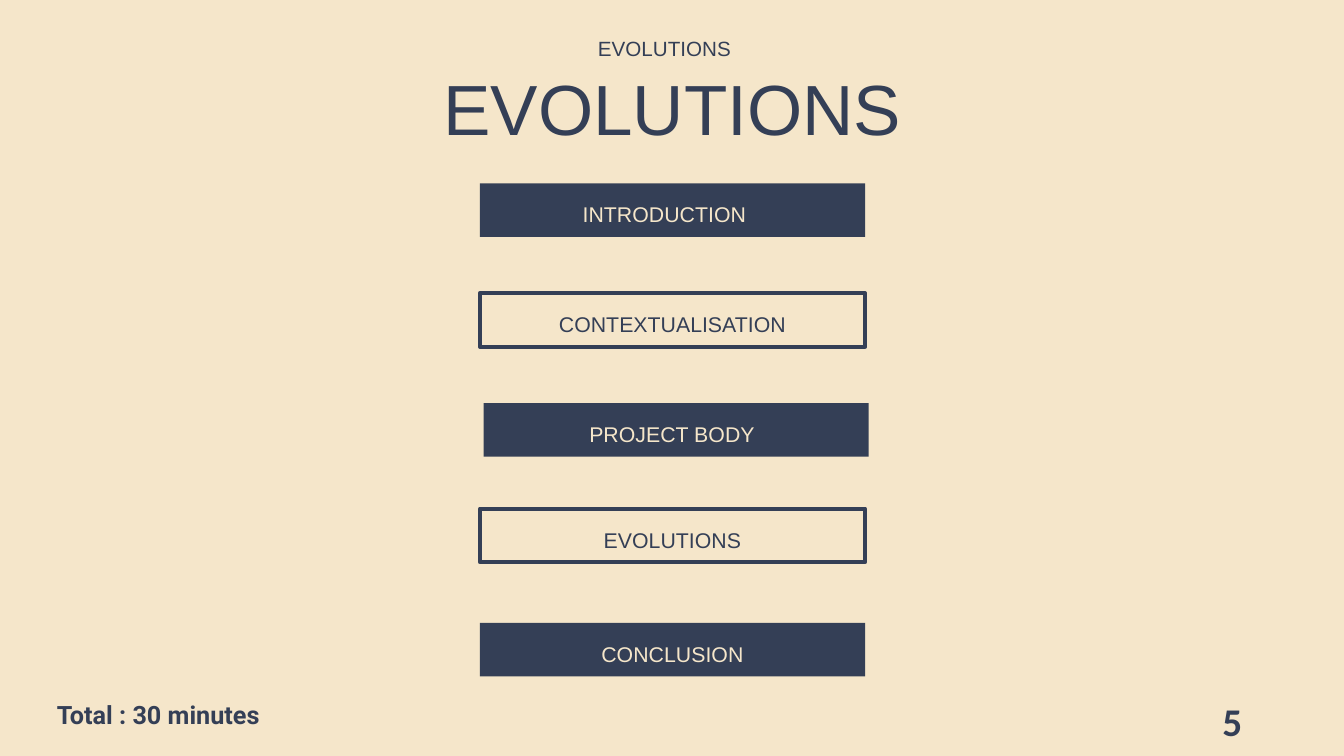
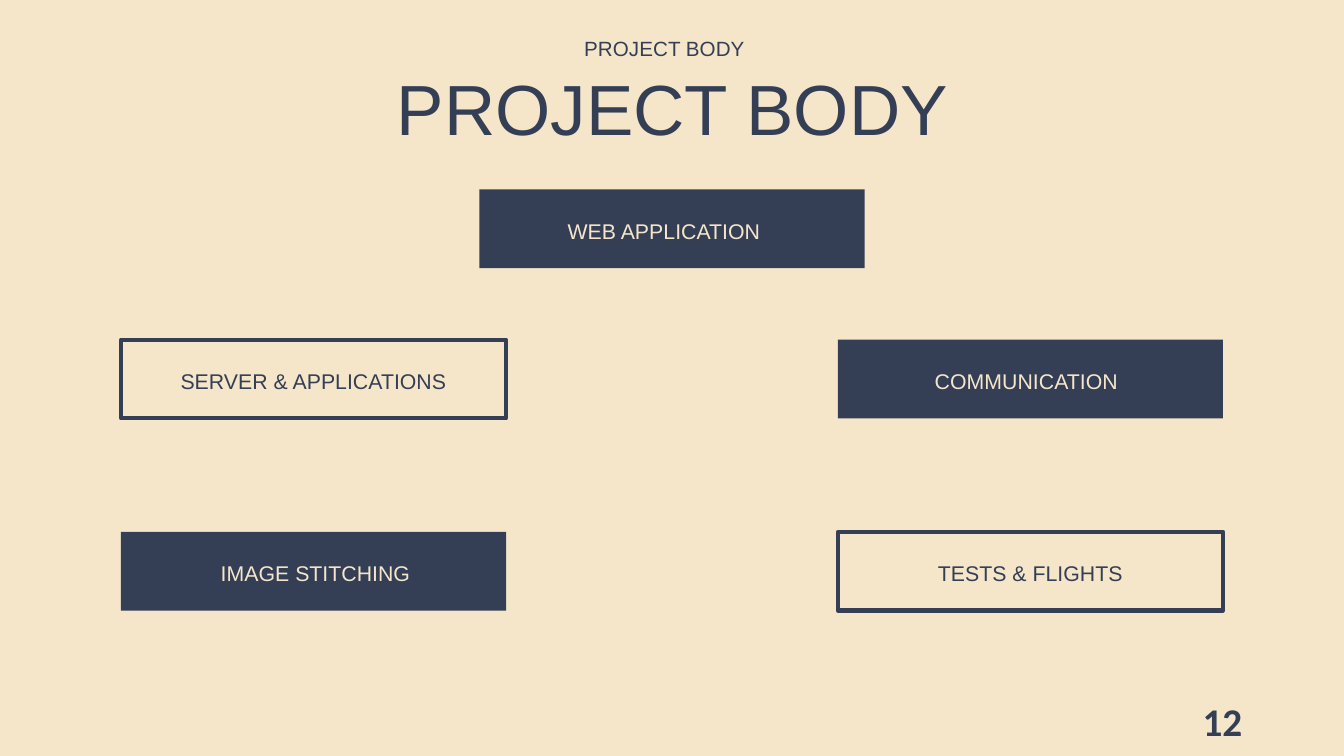
from dataclasses import dataclass
from typing import NamedTuple

from pptx import Presentation
from pptx.dml.color import RGBColor
from pptx.enum.shapes import MSO_SHAPE as Preset
from pptx.enum.text import MSO_ANCHOR as Anchor, MSO_AUTO_SIZE as AutoSize, PP_ALIGN as Align
from pptx.util import Inches, Pt


@dataclass(frozen=True)
class Theme:
    """Colours, fonts and type sizes shared by the slides."""
    cream: RGBColor = RGBColor.from_string("F5E6CA")
    navy: RGBColor = RGBColor.from_string("343F56")
    sans: str = "Arial"
    number_font: str = "Calibri"
    note_font: str = "Roboto"
    title: float = 50.7
    title_line: float = 70.9
    kicker: float = 14.7
    kicker_line: float = 20.5
    label: float = 15.2
    label_line: float = 21.3
    number: float = 28
    note: float = 18
    border: float = 3


THEME = Theme()


class Box(NamedTuple):
    """A region in inches."""
    left: float
    top: float
    width: float
    height: float

    def emu(self):
        """Return the region in slide units."""
        return [Inches(side) for side in self]


class Grid(NamedTuple):
    """Equal tiles, spaced by fixed steps from the first one."""
    first: Box
    column_step: float
    row_step: float
    text_drop: float

    def cell(self, column, row):
        """Return the box of one tile."""
        return self.first._replace(left=self.first.left + column * self.column_step,
                                   top=self.first.top + row * self.row_step)


class Tile(NamedTuple):
    """One labelled tile: its grid place, style and sideways text shift."""
    label: str
    column: float
    row: float
    filled: bool
    shift: float = 0


PAGE = Box(0, 0, 13.33, 7.5)
TITLE = Box(2.02, 0.5, 9.3, 0.84)
KICKER = Box(5.02, 0.32, 3.14, 0.25)
NUMBER = Box(9.42, 6.95, 3, 0.4)
NOTE = Box(0, 6.95, 3.14, 0.29)

CHAPTER_GRID = Grid(Box(4.76, 1.82, 3.82, 0.53), 3.55, 1.09, 0.02)
CHAPTERS = [
    Tile("INTRODUCTION", 0, 0, True, -0.08),
    Tile("CONTEXTUALISATION", 0, 1, False),
    Tile("PROJECT BODY", 0.01, 2, True, -0.04),
    Tile("EVOLUTIONS", 0, 2.96, False),
    Tile("CONCLUSION", 0, 4, True),
]

TOPIC_GRID = Grid(Box(1.2, 1.88, 3.82, 0.78), 3.555, 1.49, 0)
TOPICS = [
    Tile("WEB APPLICATION", 1, 0, True, -0.08),
    Tile("SERVER & APPLICATIONS", 0, 1, False),
    Tile("COMMUNICATION", 2, 1, True, -0.04),
    Tile("IMAGE STITCHING", 0, 2.28, True, 0.02),
    Tile("TESTS & FLIGHTS", 2, 2.28, False),
]


def write(holder, text, size, color, font=THEME.sans, line=None, bold=False,
          align=Align.CENTER, anchor=Anchor.TOP, insets=(0, 0, 0, 0)):
    """Put one formatted run in the text frame of a shape."""
    frame = holder.text_frame
    frame.word_wrap = True
    frame.auto_size = AutoSize.NONE
    frame.vertical_anchor = anchor
    (frame.margin_left, frame.margin_top,
     frame.margin_right, frame.margin_bottom) = [Inches(inset) for inset in insets]
    paragraph = frame.paragraphs[0]
    paragraph.alignment = align
    if line:
        paragraph.line_spacing = Pt(line)
    run = paragraph.add_run()
    run.text = text
    run.font.name, run.font.size, run.font.bold = font, Pt(size), bold
    run.font.color.rgb = color


def add_heading(slide, text):
    """Place the title and the small repeat of it above."""
    title = slide.shapes.title
    title.left, title.top, title.width, title.height = TITLE.emu()
    write(title, text, THEME.title, THEME.navy, line=THEME.title_line)
    kicker = slide.shapes.add_textbox(*KICKER.emu())
    write(kicker, text, THEME.kicker, THEME.navy, line=THEME.kicker_line)


def add_footer(slide, number, note):
    """Place the page number and, if given, the note at the left."""
    page_number = slide.shapes.add_textbox(*NUMBER.emu())
    write(page_number, number, THEME.number, THEME.navy, THEME.number_font, bold=True,
          align=Align.RIGHT, anchor=Anchor.MIDDLE, insets=(0.1, 0.05, 0.1, 0.05))
    if note:
        duration = slide.shapes.add_textbox(*NOTE.emu())
        write(duration, note, THEME.note, THEME.navy, THEME.note_font,
              THEME.kicker_line, bold=True)


def add_tile(slide, box, tile, drop):
    """Draw a filled or outlined tile with its label."""
    panel = slide.shapes.add_shape(Preset.RECTANGLE, *box.emu())
    panel.shadow.inherit = False
    if tile.filled:
        panel.fill.solid()
        panel.fill.fore_color.rgb = THEME.navy
        panel.line.fill.background()
    else:
        panel.fill.background()
        panel.line.color.rgb = THEME.navy
        panel.line.width = Pt(THEME.border)
    insets = (max(0, 2 * tile.shift), 2 * drop, max(0, -2 * tile.shift), 0)
    write(panel, tile.label, THEME.label, THEME.cream if tile.filled else THEME.navy,
          line=THEME.label_line, anchor=Anchor.MIDDLE, insets=insets)


def add_tile_slide(deck, heading, grid, tiles, number, note=None):
    """Add a slide with a heading, a grid of tiles and a footer."""
    slide = deck.slides.add_slide(deck.slide_layouts[5])
    add_heading(slide, heading)
    for tile in tiles:
        add_tile(slide, grid.cell(tile.column, tile.row), tile, grid.text_drop)
    add_footer(slide, number, note)


def main():
    """Build and save the deck."""
    deck = Presentation()
    deck.slide_width, deck.slide_height = Inches(PAGE.width), Inches(PAGE.height)
    backdrop = deck.slide_master.background.fill
    backdrop.solid()
    backdrop.fore_color.rgb = THEME.cream
    add_tile_slide(deck, "EVOLUTIONS", CHAPTER_GRID, CHAPTERS, "5", "Total : 30 minutes")
    add_tile_slide(deck, "PROJECT BODY", TOPIC_GRID, TOPICS, "12")
    deck.save("out.pptx")


if __name__ == "__main__":
    main()
